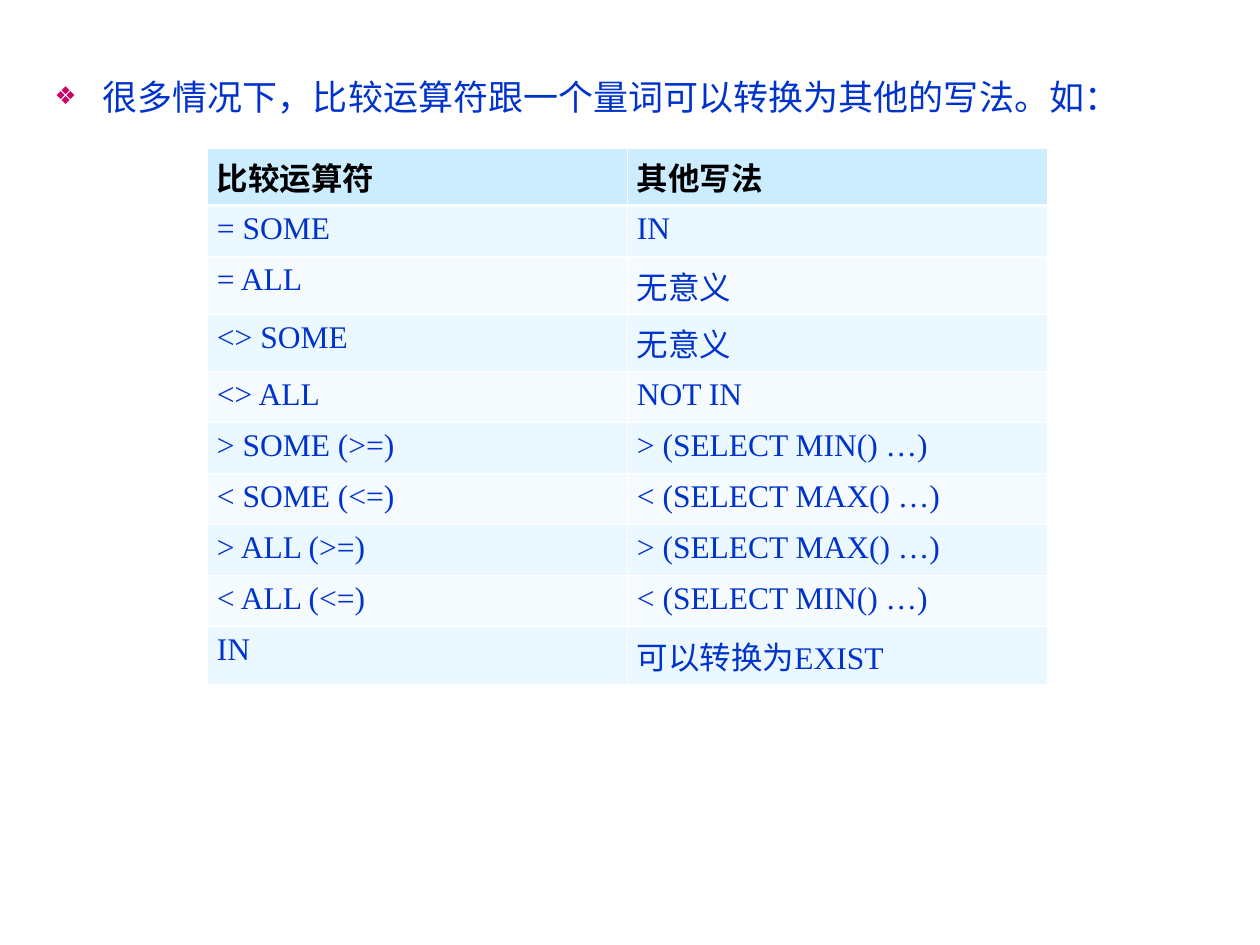
from lxml.etree import SubElement as Sub
from pptx import Presentation
from pptx.dml.color import RGBColor as RGB
from pptx.enum.text import MSO_ANCHOR as Anchor, MSO_AUTO_SIZE as Auto, PP_ALIGN as Align
from pptx.oxml.ns import qn
from pptx.util import Pt

PX = 914400 / 126
COLORS = {"ink": "0033CC", "mark": "CC0066", "black": "000000", "line": "FFFFFF",
          "head": "CCECFF", "odd": "ECF8FF", "even": "F6FBFF"}
ROWS = [
    ("比较运算符", "其他写法"),
    ("= SOME", "IN"),
    ("= ALL", "无意义"),
    ("<> SOME", "无意义"),
    ("<> ALL", "NOT IN"),
    ("> SOME (>=)", "> (SELECT MIN() …)"),
    ("< SOME (<=)", "< (SELECT MAX() …)"),
    ("> ALL (>=)", "> (SELECT MAX() …)"),
    ("< ALL (<=)", "< (SELECT MIN() …)"),
    ("IN", "可以转换为EXIST"),
]


def px(n):
    return round(n * PX)


def style(font, name, size, color, bold=False):
    font.name, font.size, font.bold = name, Pt(size), bold
    font.color.rgb = RGB.from_string(COLORS[color])


deck = Presentation()
deck.slide_width, deck.slide_height = px(1260), px(945)
slide = deck.slides.add_slide(deck.slide_layouts[1])
title = slide.shapes.title
title.element.getparent().remove(title.element)

body = slide.placeholders[1]
body.left, body.top, body.width, body.height = px(42), px(69), px(1177), px(820)
frame = body.text_frame
frame.auto_size = Auto.NONE
frame.vertical_anchor = Anchor.TOP
para = frame.paragraphs[0]
para.text = "很多情况下，比较运算符跟一个量词可以转换为其他的写法。如："
para.space_before = Pt(0)
props = para._p.get_or_add_pPr()
props.set("marL", str(px(48)))
props.set("indent", str(px(-48)))
Sub(Sub(props, qn("a:buClr")), qn("a:srgbClr"), val=COLORS["mark"])
Sub(props, qn("a:buSzPct"), val="70000")
Sub(props, qn("a:buFont"), typeface="Arial")
Sub(props, qn("a:buChar"), char="❖")
style(para.font, "Arial", 20, "ink")

table = slide.shapes.add_table(len(ROWS), 2, px(207), px(148), px(840), px(510)).table
for r, row in enumerate(ROWS):
    table.rows[r].height = px(51)
    fill = "head" if r == 0 else "odd" if r % 2 else "even"
    for c, text in enumerate(row):
        cell = table.cell(r, c)
        cell.margin_left = cell.margin_right = px(10)
        cell.margin_top = cell.margin_bottom = px(6)
        for side in "LRTB":
            thick = (r, side) in ((0, "B"), (1, "T"))
            line = Sub(cell._tc.get_or_add_tcPr(), qn("a:ln" + side),
                       w=str(Pt(1.5 if thick else 0.45)))
            Sub(Sub(line, qn("a:solidFill")), qn("a:srgbClr"), val=COLORS["line"])
        cell.fill.solid()
        cell.fill.fore_color.rgb = RGB.from_string(COLORS[fill])
        para = cell.text_frame.paragraphs[0]
        para.text = text
        para.alignment = Align.JUSTIFY
        style(para.font, "Times New Roman", 18, "ink" if r else "black", r == 0)

deck.save("out.pptx")
